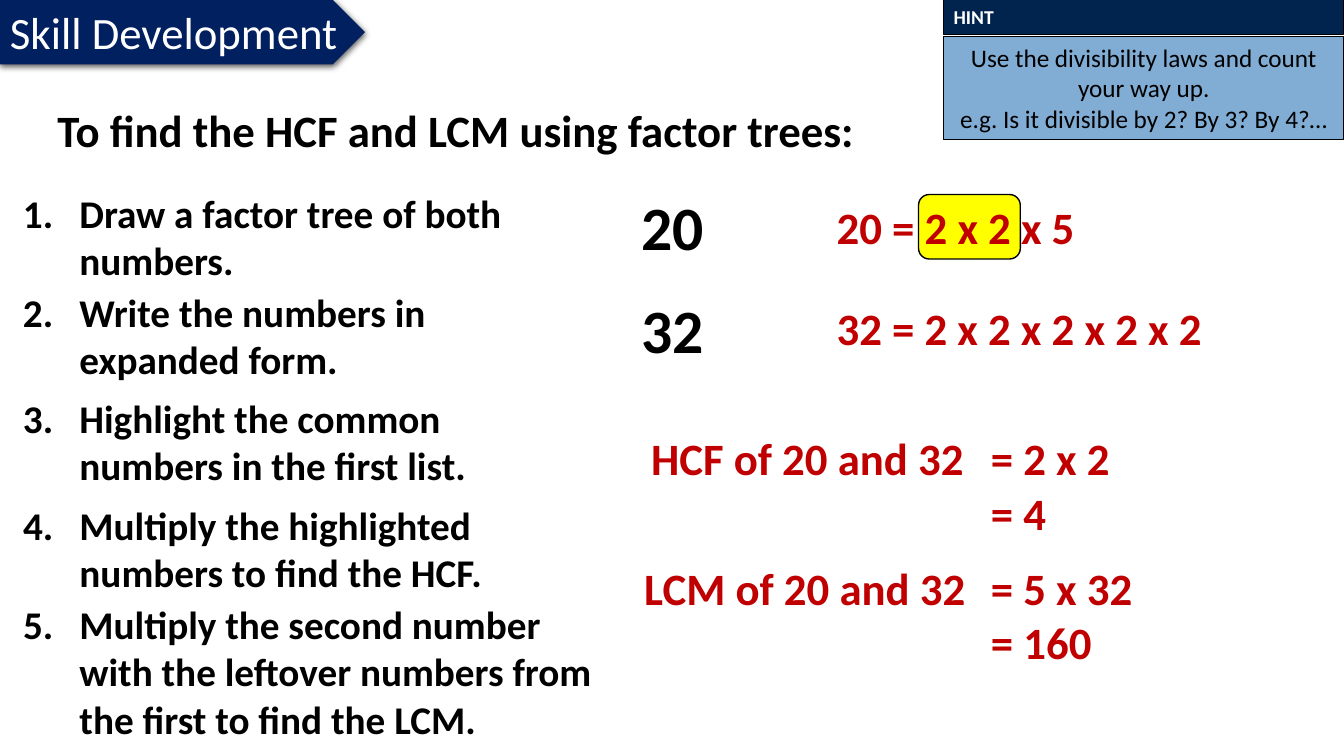
from dataclasses import dataclass
from typing import Optional

from lxml import etree
from pptx import Presentation
from pptx.dml.color import RGBColor
from pptx.enum.shapes import MSO_SHAPE
from pptx.enum.text import MSO_ANCHOR, MSO_AUTO_SIZE, PP_ALIGN
from pptx.oxml.ns import qn
from pptx.util import Inches, Pt

BLACK = RGBColor(0x00, 0x00, 0x00)
WHITE = RGBColor(0xFF, 0xFF, 0xFF)
RED = RGBColor(0xC0, 0x00, 0x00)
YELLOW = RGBColor(0xFF, 0xFF, 0x00)
BANNER_NAVY = RGBColor(0x00, 0x20, 0x60)
HINT_NAVY = RGBColor(0x01, 0x24, 0x4E)
HINT_BLUE = RGBColor(0x2E, 0x75, 0xB6)

LEFT, CENTER = PP_ALIGN.LEFT, PP_ALIGN.CENTER
TOP, MIDDLE = MSO_ANCHOR.TOP, MSO_ANCHOR.MIDDLE
FIT_SHAPE, NO_FIT = MSO_AUTO_SIZE.SHAPE_TO_FIT_TEXT, MSO_AUTO_SIZE.NONE
RECTANGLE = MSO_SHAPE.RECTANGLE
ROUNDED = MSO_SHAPE.ROUNDED_RECTANGLE
PENTAGON = MSO_SHAPE.PENTAGON

FONT = "Calibri"
LINE_HEIGHT = 0.64
STEP_INDENT = Inches(0.56)


@dataclass
class Label:
    text: str
    left: float
    top: float
    width: float
    height: float = LINE_HEIGHT
    size: int = 32
    color: RGBColor = RED
    alignment: PP_ALIGN = LEFT
    number: Optional[int] = None


@dataclass
class Panel:
    kind: MSO_SHAPE
    left: float
    top: float
    width: float
    height: float
    fill: RGBColor
    line_width: Optional[float] = None


def write_text(shape, text: str, size: int, color: RGBColor, bold: bool = True,
               alignment: PP_ALIGN = LEFT, anchor: MSO_ANCHOR = TOP,
               wrap: bool = True, auto_size: MSO_AUTO_SIZE = FIT_SHAPE) -> None:
    frame = shape.text_frame
    frame.text = text
    frame.word_wrap = wrap
    frame.auto_size = auto_size
    frame.vertical_anchor = anchor
    for paragraph in frame.paragraphs:
        paragraph.alignment = alignment
        for run in paragraph.runs:
            run.font.name = FONT
            run.font.size = Pt(size)
            run.font.bold = bold
            run.font.color.rgb = color


def number_paragraph(paragraph, number: int) -> None:
    properties = paragraph._p.get_or_add_pPr()
    properties.set("marL", str(STEP_INDENT))
    properties.set("indent", str(-STEP_INDENT))
    etree.SubElement(properties, qn("a:buFont"), typeface="+mj-lt")
    etree.SubElement(properties, qn("a:buAutoNum"), type="arabicPeriod", startAt=str(number))


def add_label(slide, label: Label):
    box = slide.shapes.add_textbox(Inches(label.left), Inches(label.top),
                                   Inches(label.width), Inches(label.height))
    write_text(box, label.text, label.size, label.color, alignment=label.alignment)
    if label.number is not None:
        number_paragraph(box.text_frame.paragraphs[0], label.number)
    return box


def add_panel(shapes, panel: Panel):
    shape = shapes.add_shape(panel.kind, Inches(panel.left), Inches(panel.top),
                             Inches(panel.width), Inches(panel.height))
    shape.shadow.inherit = False
    shape.fill.solid()
    shape.fill.fore_color.rgb = panel.fill
    if panel.line_width is None:
        shape.line.fill.background()
    else:
        shape.line.color.rgb = BLACK
        shape.line.width = Pt(panel.line_width)
    return shape


def add_alpha(color_element, percent: int) -> None:
    etree.SubElement(color_element, qn("a:alpha"), val=str(percent * 1000))


def add_drop_shadow(shape) -> None:
    effects = shape._element.spPr.find(qn("a:effectLst"))
    shadow = etree.SubElement(effects, qn("a:outerShdw"), blurRad=str(Pt(4.5)),
                              dist=str(Pt(1.5)), dir="5400000", algn="ctr", rotWithShape="0")
    add_alpha(etree.SubElement(shadow, qn("a:srgbClr"), val=str(BLACK)), 63)


def add_banner(slide) -> None:
    banner = add_panel(slide.shapes, Panel(PENTAGON, 0, 0, 3.62, LINE_HEIGHT, BANNER_NAVY))
    add_drop_shadow(banner)
    write_text(banner, "Skill Development", 32, WHITE, bold=False, wrap=False)


def add_hint(slide) -> None:
    shapes = slide.shapes.add_group_shape().shapes
    header = add_panel(shapes, Panel(RECTANGLE, 9.36, 0, 3.97, 0.34, HINT_NAVY, 0.75))
    write_text(header, "HINT", 14, WHITE)
    body = add_panel(shapes, Panel(RECTANGLE, 9.36, 0.36, 3.97, 1.02, HINT_BLUE, 0.75))
    add_alpha(body._element.spPr.find(qn("a:solidFill"))[0], 60)
    write_text(body, "Use the divisibility laws and count your way up.\n"
               "e.g. Is it divisible by 2? By 3? By 4?…", 18, BLACK, bold=False,
               alignment=CENTER, anchor=MIDDLE, auto_size=NO_FIT)


TITLE = Label("To find the HCF and LCM using factor trees:", 0.47, 1.03, 11.05, color=BLACK)

NUMBERS = [
    Label("20", 5.81, 1.83, 1.72, 0.84, 44, BLACK, CENTER),
    Label("32", 6.12, 2.85, 1.1, 0.84, 44, BLACK, CENTER),
]

# Text, top, width and height of each numbered step
STEPS = [
    ("Draw a factor tree of both numbers.", 1.83, 5, 1.04),
    ("Write the numbers in expanded form.", 2.81, 5.1, 1.04),
    ("Highlight the common numbers in the first list.", 3.86, 5.33, 1.04),
    ("Multiply the highlighted numbers to find the HCF.", 4.92, 5.85, 1.04),
    ("Multiply the second number with the leftover numbers from the first to find the LCM.",
     5.91, 5.85, 1.51),
]

RESULTS = [
    Label("HCF of 20 and 32", 6.36, 4.22, 3.37),
    Label("= 2 x 2", 9.73, 4.22, 1.94),
    Label("= 4", 9.73, 4.77, 1.94),
    Label("LCM of 20 and 32", 6.29, 5.51, 3.45),
    Label("= 5 x 32", 9.73, 5.51, 1.69),
    Label("= 160", 9.73, 6.05, 1.94),
]


def main() -> None:
    presentation = Presentation()
    presentation.slide_width = Inches(13.33)
    presentation.slide_height = Inches(7.5)
    slide = presentation.slides.add_slide(presentation.slide_layouts[6])

    # Heading, banner and hint
    title = add_label(slide, TITLE)
    title.text_frame.auto_size = NO_FIT
    title.text_frame.paragraphs[0].line_spacing = 0.9
    add_banner(slide)
    add_hint(slide)

    # Numbers and their expanded forms, with the common factors highlighted
    for number in NUMBERS:
        add_label(slide, number)
    add_panel(slide.shapes, Panel(ROUNDED, 9.11, 1.93, 1.01, LINE_HEIGHT, YELLOW, 1))
    add_label(slide, Label("20 = 2 x 2 x 5", 8.2, 1.93, 3.22))
    add_label(slide, Label("32 = 2 x 2 x 2 x 2 x 2", 8.2, 2.93, 3.94))

    # Numbered steps
    for number, (text, top, width, height) in enumerate(STEPS, start=1):
        add_label(slide, Label(text, 0.13, top, width, height, 28, BLACK, number=number))

    # Worked results
    for result in RESULTS:
        add_label(slide, result)

    presentation.save("out.pptx")


if __name__ == "__main__":
    main()
